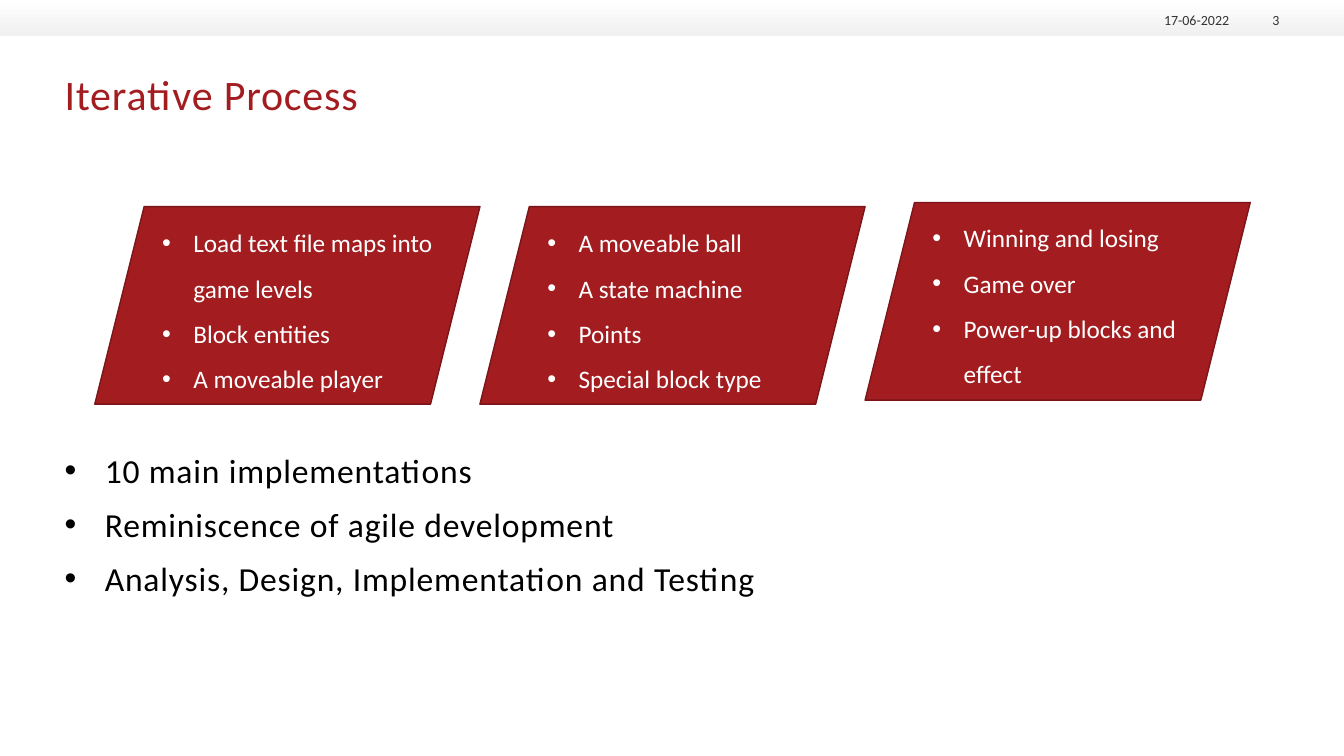
from dataclasses import dataclass

from lxml.etree import SubElement
from pptx import Presentation
from pptx.dml.color import RGBColor
from pptx.enum.shapes import MSO_SHAPE
from pptx.enum.text import MSO_ANCHOR, PP_ALIGN
from pptx.oxml.ns import qn
from pptx.slide import Slide
from pptx.util import Inches, Pt


@dataclass(frozen=True)
class Theme:
    font: str = "Calibri"
    red: str = "A31D20"
    dark_red: str = "791518"
    black: str = "000000"
    white: str = "FFFFFF"
    grey: str = "333333"
    band_end: str = "EFF0EF"
    title_size: int = 30
    body_size: int = 24
    card_size: int = 18
    small_size: int = 10


@dataclass(frozen=True)
class Frame:
    left: float
    top: float
    width: float
    height: float

    def lengths(self) -> tuple[Inches, Inches, Inches, Inches]:
        return Inches(self.left), Inches(self.top), Inches(self.width), Inches(self.height)


@dataclass(frozen=True)
class TextStyle:
    size: int
    color: str
    indent: float = 0
    line_spacing: float = 1
    space_before: int = 0
    tracking: int = 0
    align: PP_ALIGN = PP_ALIGN.LEFT
    anchor: MSO_ANCHOR = MSO_ANCHOR.TOP
    inset: bool = False


@dataclass(frozen=True)
class Iteration:
    top: float
    text_top: float
    items: tuple[str, ...]


THEME = Theme()
TITLE = TextStyle(THEME.title_size, THEME.red, tracking=60)
BODY = TextStyle(THEME.body_size, THEME.black, indent=0.4, space_before=10, tracking=60)
CARD = TextStyle(THEME.card_size, THEME.white, indent=0.31, line_spacing=1.5, inset=True)
FOOTER = TextStyle(THEME.small_size, THEME.grey, align=PP_ALIGN.RIGHT, anchor=MSO_ANCHOR.BOTTOM)

FIRST_LEFT, CARD_WIDTH, CARD_HEIGHT, TEXT_OFFSET = 0.94, 3.82, 1.96, 0.57
ITERATIONS = (
    Iteration(2.05, 2.06, ("Load text file maps into game levels", "Block entities", "A moveable player")),
    Iteration(2.05, 2.06, ("A moveable ball", "A state machine", "Points", "Special block type")),
    Iteration(2.01, 2.01, ("Winning and losing", "Game over", "Power-up blocks and effect")),
)
PRACTICES = (
    "10 main implementations",
    "Reminiscence of agile development",
    "Analysis, Design, Implementation and Testing",
)


def add_text(page: Slide, frame: Frame, lines: tuple[str, ...], style: TextStyle) -> None:
    """Place a text box with one paragraph per line."""
    text = page.shapes.add_textbox(*frame.lengths()).text_frame
    text.word_wrap = True
    text.vertical_anchor = style.anchor
    if not style.inset:
        text.margin_left = text.margin_top = text.margin_right = text.margin_bottom = 0
    for index, line in enumerate(lines):
        para = text.add_paragraph() if index else text.paragraphs[0]
        span = para.add_run()
        span.text = line
        para.alignment = style.align
        para.line_spacing = style.line_spacing
        para.space_before = Pt(style.space_before if index else 0)
        if style.indent:
            properties = para._p.get_or_add_pPr()
            properties.set("marL", str(Inches(style.indent)))
            properties.set("indent", str(-Inches(style.indent)))
            SubElement(properties, qn("a:buFont"), typeface="Arial")
            SubElement(properties, qn("a:buChar"), char="•")
        para.font.name = THEME.font
        para.font.size = Pt(style.size)
        para.font.color.rgb = RGBColor.from_string(style.color)
        if style.tracking:
            span._r.get_or_add_rPr().set("spc", str(style.tracking))


def add_band(page: Slide) -> None:
    """Draw the shaded band along the top edge."""
    band = page.shapes.add_shape(MSO_SHAPE.RECTANGLE, *Frame(0, 0, 13.33, 0.36).lengths())
    band.shadow.inherit = False
    band.line.fill.background()
    band.fill.gradient()
    band.fill.gradient_angle = 270
    for stop, position, color in zip(band.fill.gradient_stops, (0, 1), (THEME.white, THEME.band_end)):
        stop.position = position
        stop.color.rgb = RGBColor.from_string(color)


def add_iteration(page: Slide, left: float, iteration: Iteration) -> None:
    """Draw one slanted card and its bullet list."""
    frame = Frame(left, iteration.top, CARD_WIDTH, CARD_HEIGHT)
    card = page.shapes.add_shape(MSO_SHAPE.PARALLELOGRAM, *frame.lengths())
    card.shadow.inherit = False
    card.fill.solid()
    card.fill.fore_color.rgb = RGBColor.from_string(THEME.red)
    card.line.color.rgb = RGBColor.from_string(THEME.dark_red)
    card.line.width = Pt(1)
    add_text(page, Frame(left + TEXT_OFFSET, iteration.text_top, 2.88, 1.88), iteration.items, CARD)


def main() -> None:
    """Build the slide and save it."""
    deck = Presentation()
    deck.slide_width, deck.slide_height = Inches(13.33), Inches(7.5)
    page = deck.slides.add_slide(deck.slide_layouts[6])
    add_band(page)
    add_text(page, Frame(0.64, 0.68, 12.04, 0.95), ("Iterative Process",), TITLE)
    add_text(page, Frame(0.64, 4.46, 12.04, 2.44), PRACTICES, BODY)
    add_text(page, Frame(11.3, 0.09, 0.89, 0.19), ("17-06-2022",), FOOTER)
    add_text(page, Frame(12.27, 0.09, 0.42, 0.19), ("3",), FOOTER)
    for index, iteration in enumerate(ITERATIONS):
        add_iteration(page, FIRST_LEFT + index * CARD_WIDTH, iteration)
    deck.save("out.pptx")


if __name__ == "__main__":
    main()
